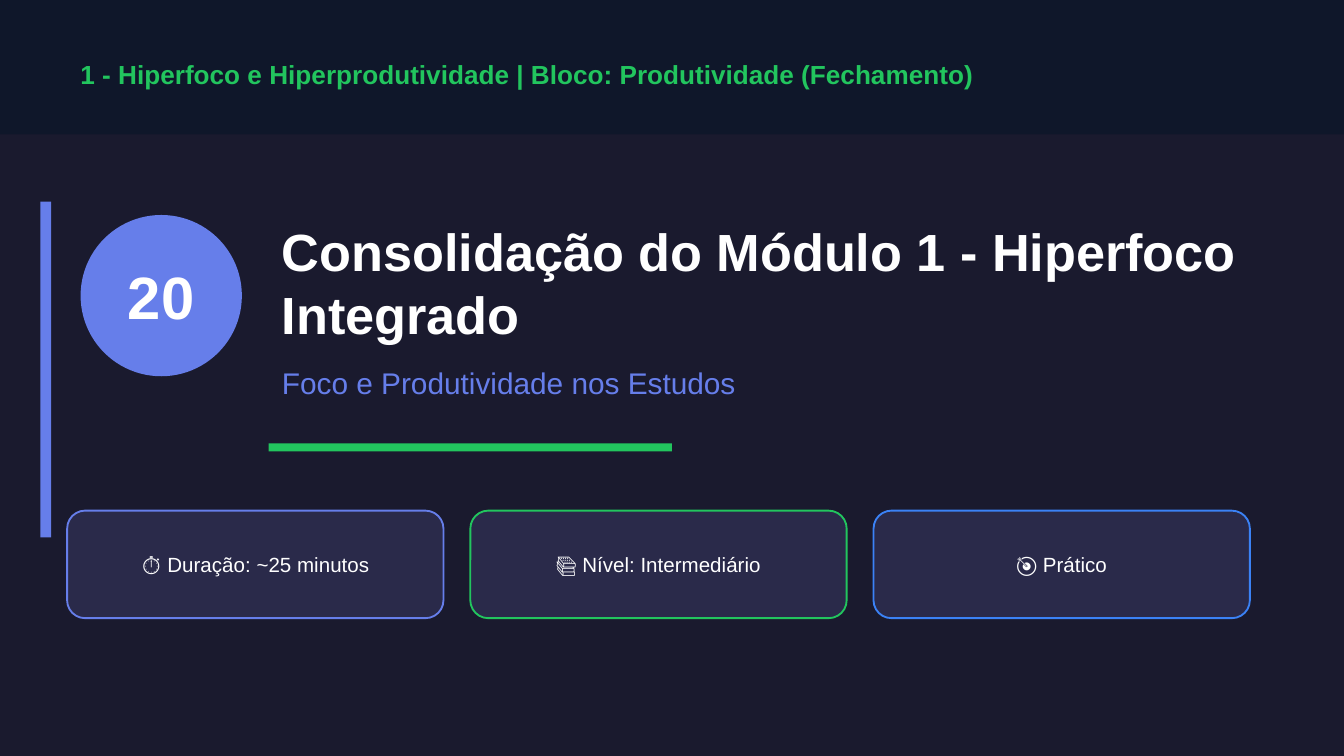
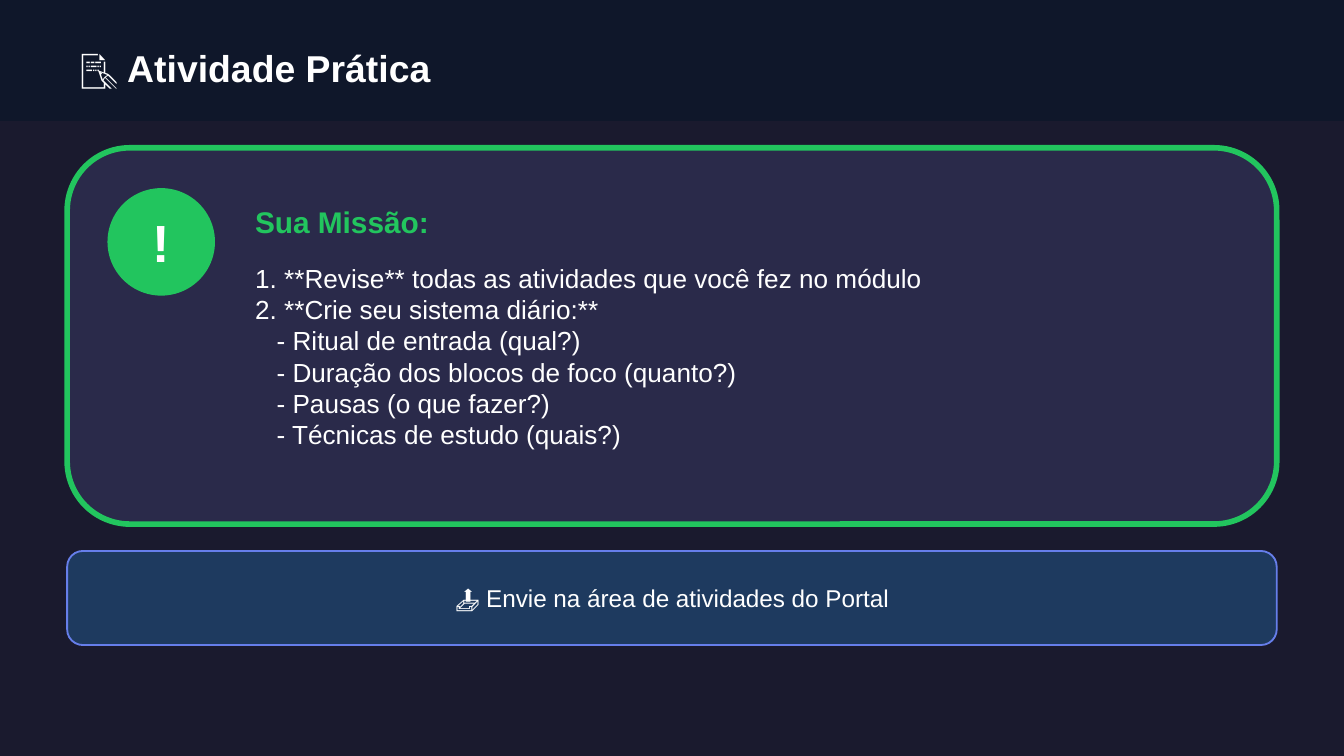
"""Build the opening and practice slides of a study module."""
import dataclasses
import typing

import pptx
import pptx.dml.color
import pptx.enum.shapes
import pptx.enum.text
import pptx.util

RGBColor = pptx.dml.color.RGBColor
KIND = pptx.enum.shapes.MSO_SHAPE
ALIGN = pptx.enum.text.PP_ALIGN
ANCHOR = pptx.enum.text.MSO_ANCHOR

SCALE = 4572
WIDE, HIGH = 2000, 1125
FONT = "Arial"
NIGHT = RGBColor(0x1A, 0x1A, 0x2E)
NAVY = RGBColor(0x0F, 0x17, 0x2A)
PANEL = RGBColor(0x2A, 0x2A, 0x4A)
STEEL = RGBColor(0x1E, 0x3A, 0x5F)
INDIGO = RGBColor(0x66, 0x7E, 0xEA)
GREEN = RGBColor(0x22, 0xC5, 0x5E)
BLUE = RGBColor(0x3B, 0x82, 0xF6)
WHITE = RGBColor(0xFF, 0xFF, 0xFF)


class Box(typing.NamedTuple):
    """Left, top, width and height in px."""
    left: int
    top: int
    width: int
    height: int


@dataclasses.dataclass(frozen=True)
class Form:
    """A filled shape with an optional outline."""
    box: Box
    fill: RGBColor
    kind: KIND = KIND.RECTANGLE
    line: typing.Optional[RGBColor] = None
    weight: int = 1


@dataclasses.dataclass(frozen=True)
class Label:
    """A text box whose lines share one style."""
    box: Box
    lines: tuple[str, ...]
    size: int
    color: RGBColor = WHITE
    bold: bool = False
    align: ALIGN = ALIGN.LEFT
    anchor: ANCHOR = ANCHOR.MIDDLE


def px(size: int) -> int:
    """Turn px into EMU."""
    return pptx.util.Emu(size * SCALE)


def apply(target: typing.Any, values: dict[str, typing.Any]) -> None:
    """Set each named value on the target."""
    for name, value in values.items():
        setattr(target, name, value)


def draw(slide: typing.Any, form: Form) -> None:
    """Draw one shape."""
    shape = slide.shapes.add_shape(form.kind, *map(px, form.box))
    shape.shadow.inherit = False
    shape.fill.solid()
    shape.fill.fore_color.rgb = form.fill
    if form.line is None:
        shape.line.fill.background()
    else:
        shape.line.color.rgb = form.line
        shape.line.width = pptx.util.Pt(form.weight)


def write(slide: typing.Any, label: Label) -> None:
    """Write one text box, indenting its dashed lines."""
    frame = slide.shapes.add_textbox(*map(px, label.box)).text_frame
    apply(frame, {"word_wrap": True, "vertical_anchor": label.anchor})
    style = {"name": FONT, "size": pptx.util.Pt(label.size), "bold": label.bold}
    for index, line in enumerate(label.lines):
        para = frame.add_paragraph() if index else frame.paragraphs[0]
        para.alignment = label.align
        if line.startswith("- "):
            para._p.get_or_add_pPr().set("marL", str(px(32)))
        run = para.add_run()
        run.text = line
        apply(run.font, style)
        run.font.color.rgb = label.color


def start(deck: typing.Any, band: int, title: Label) -> typing.Any:
    """Add a slide with its background, top band and title."""
    slide = deck.slides.add_slide(deck.slide_layouts[6])
    slide.background.fill.solid()
    slide.background.fill.fore_color.rgb = NIGHT
    draw(slide, Form(Box(0, 0, WIDE, band), NAVY))
    write(slide, title)
    return slide


def badge(slide: typing.Any, box: Box, fill: RGBColor, label: Label) -> None:
    """Draw a disc with a bold mark."""
    draw(slide, Form(box, fill, KIND.OVAL))
    write(slide, label)


def card(slide: typing.Any, box: Box, fill: RGBColor, line: RGBColor,
         text: str, size: int) -> None:
    """Draw an outlined card with one centred line."""
    draw(slide, Form(box, fill, KIND.ROUNDED_RECTANGLE, line))
    inner = Box(box.left, box.top + 30, box.width, box.height - 60)
    write(slide, Label(inner, (text,), size, align=ALIGN.CENTER))


def cover(deck: typing.Any) -> None:
    """Build the module opening."""
    slide = start(deck, 200, Label(
        Box(100, 70, 1800, 80),
        ("1 - Hiperfoco e Hiperprodutividade | Bloco: Produtividade (Fechamento)",),
        14, GREEN, True))
    draw(slide, Form(Box(60, 300, 16, 500), INDIGO))
    badge(slide, Box(120, 320, 240, 240), INDIGO,
          Label(Box(120, 370, 240, 140), ("20",), 32, bold=True, align=ALIGN.CENTER))
    write(slide, Label(Box(400, 320, 1500, 200),
                       ("Consolidação do Módulo 1 - Hiperfoco Integrado",), 28, bold=True))
    write(slide, Label(Box(400, 520, 1500, 100),
                       ("Foco e Produtividade nos Estudos",), 16, INDIGO))
    draw(slide, Form(Box(400, 660, 600, 12), GREEN))
    facts = (
        ("⏱ Duração: ~25 minutos", INDIGO),
        ("📚 Nível: Intermediário", GREEN),
        ("🎯 Prático", BLUE),
    )
    for index, (text, line) in enumerate(facts):
        card(slide, Box(100 + 600 * index, 760, 560, 160), PANEL, line, text, 11)


def task(deck: typing.Any) -> None:
    """Build the practice activity."""
    slide = start(deck, 180, Label(Box(100, 50, 1800, 100),
                                   ("📝 Atividade Prática",), 20, bold=True))
    draw(slide, Form(Box(100, 220, 1800, 560), PANEL, KIND.ROUNDED_RECTANGLE, GREEN, 3))
    badge(slide, Box(160, 280, 160, 160), GREEN,
          Label(Box(160, 300, 160, 120), ("!",), 28, bold=True, align=ALIGN.CENTER))
    write(slide, Label(Box(360, 280, 1500, 100), ("Sua Missão:",), 16, GREEN, True))
    steps = (
        "1. **Revise** todas as atividades que você fez no módulo",
        "2. **Crie seu sistema diário:**",
        "- Ritual de entrada (qual?)",
        "- Duração dos blocos de foco (quanto?)",
        "- Pausas (o que fazer?)",
        "- Técnicas de estudo (quais?)",
    )
    write(slide, Label(Box(360, 380, 1480, 360), steps, 14, anchor=ANCHOR.TOP))
    card(slide, Box(100, 820, 1800, 140), STEEL, INDIGO,
         "📤 Envie na área de atividades do Portal", 13)


def main() -> None:
    """Build and save the deck."""
    deck = pptx.Presentation()
    apply(deck, {"slide_width": px(WIDE), "slide_height": px(HIGH)})
    cover(deck)
    task(deck)
    deck.save("out.pptx")


if __name__ == "__main__":
    main()
